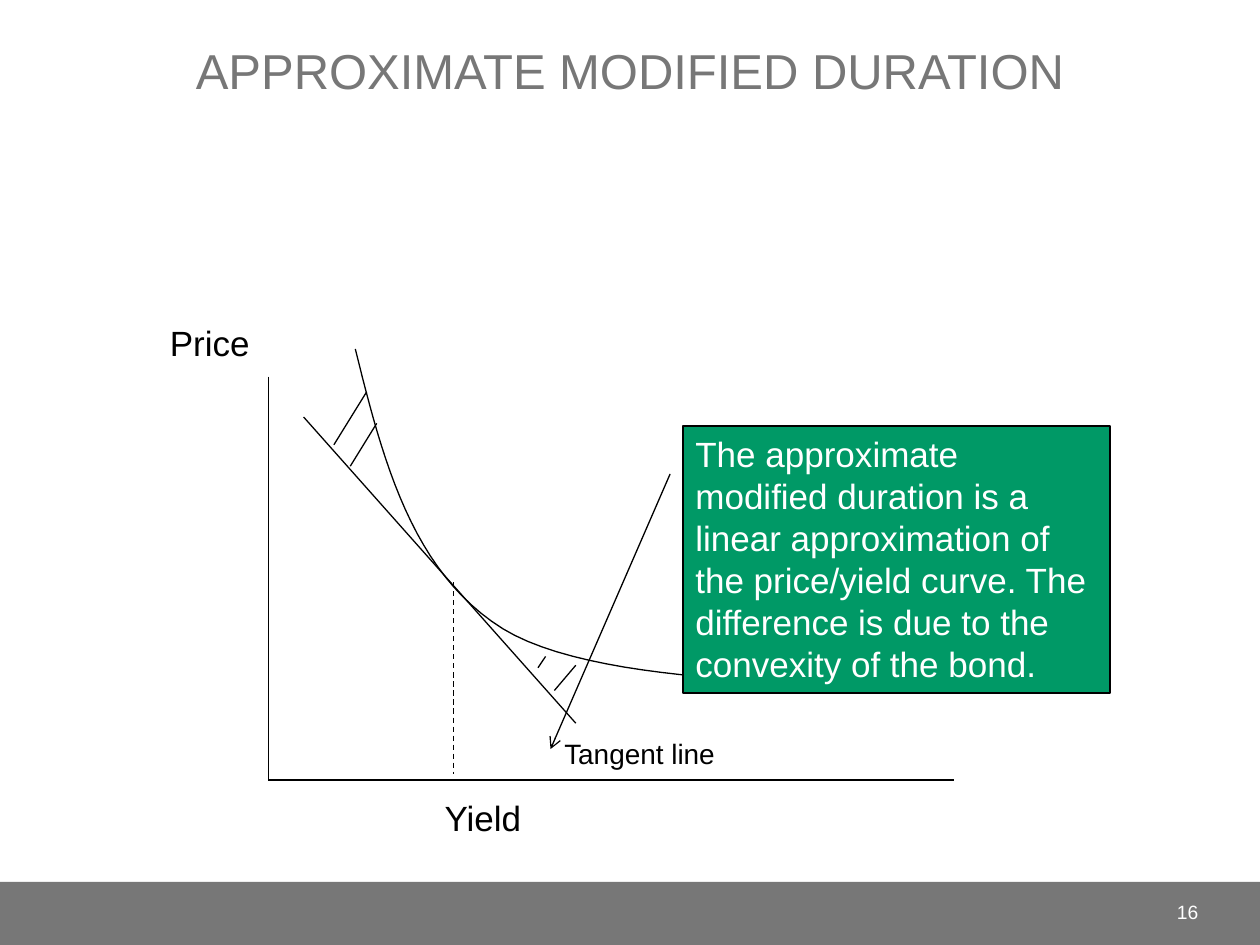
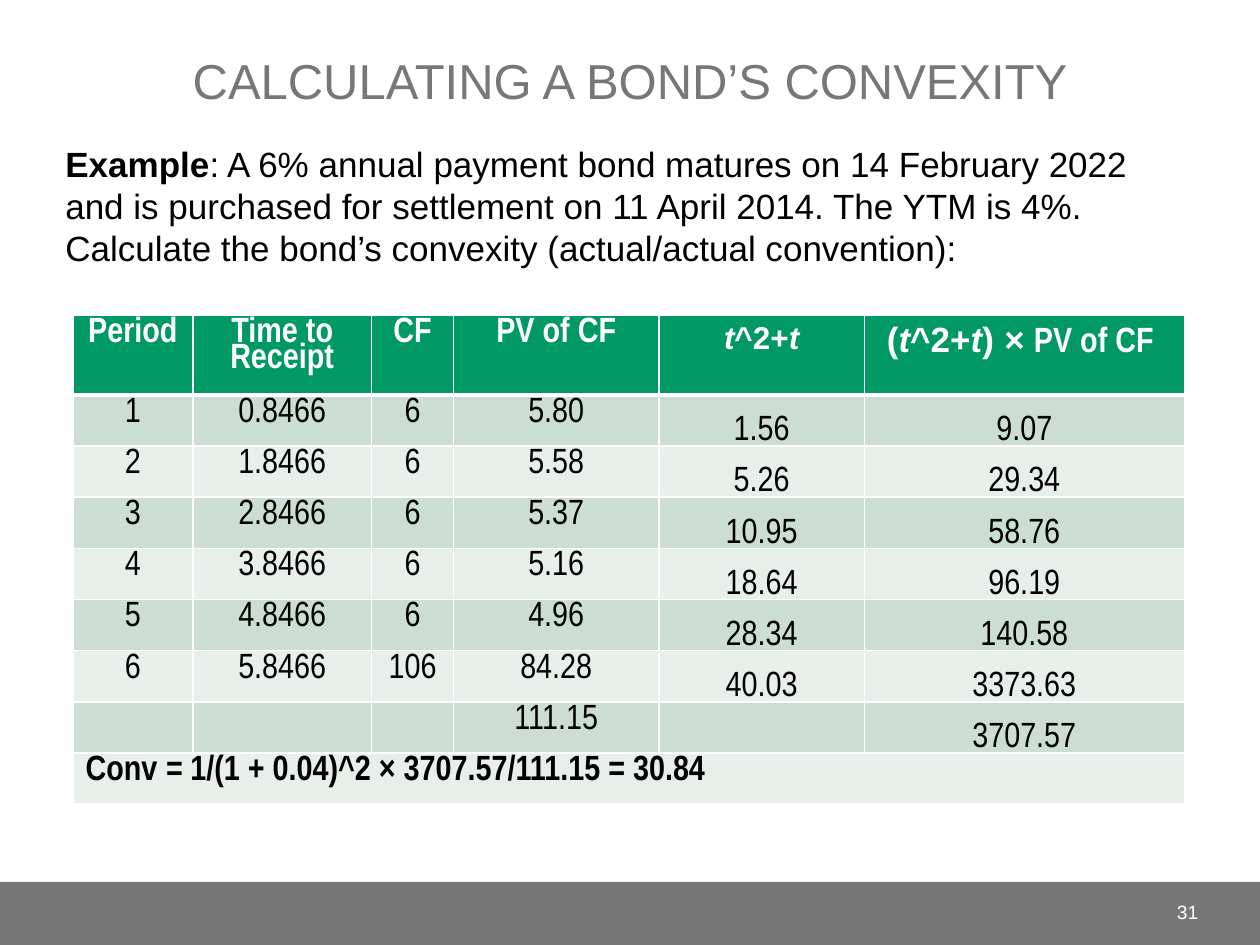
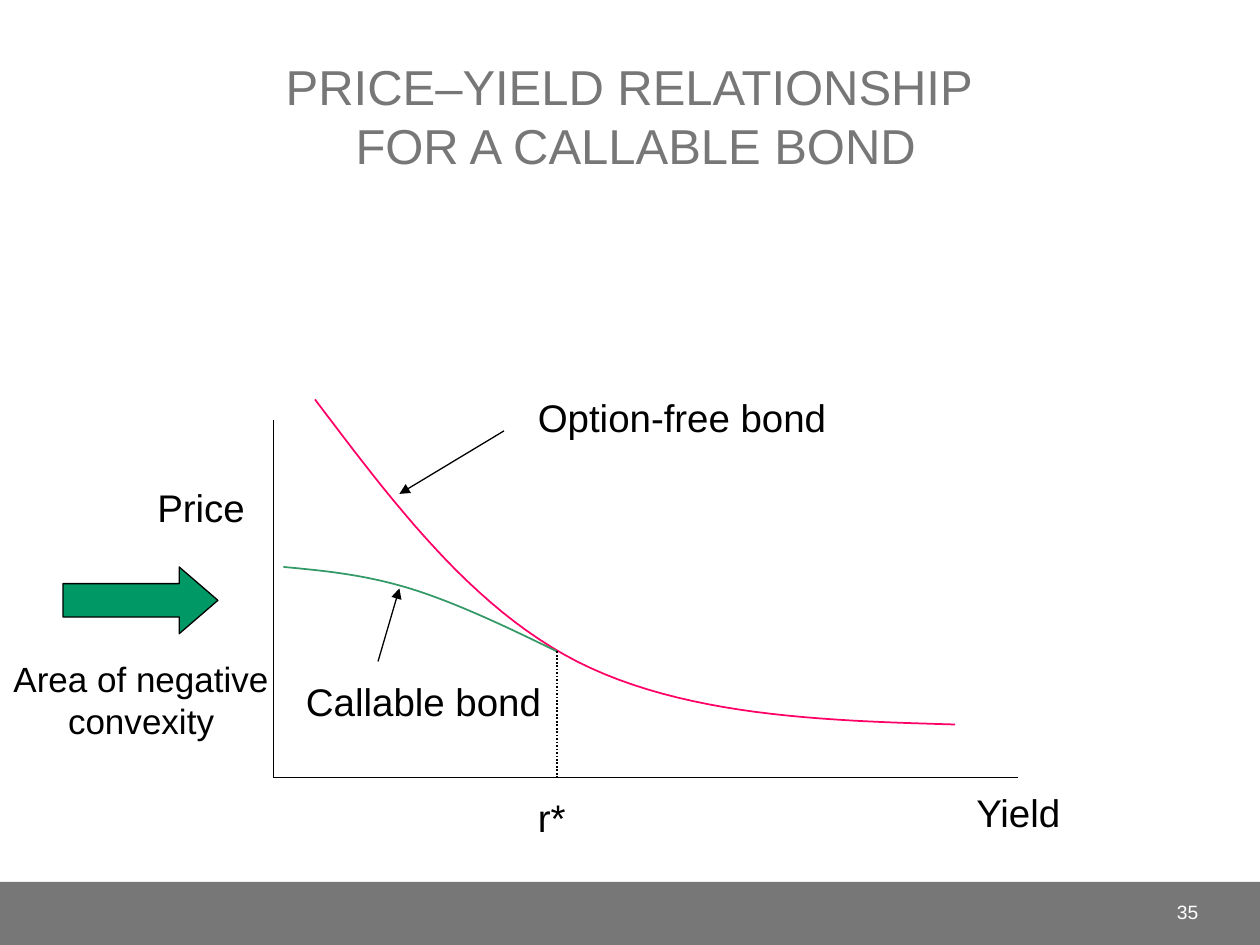
from dataclasses import dataclass

from lxml.etree import SubElement
from pptx import Presentation
from pptx.dml.color import RGBColor
from pptx.enum.dml import MSO_LINE
from pptx.enum.shapes import MSO_CONNECTOR, MSO_SHAPE
from pptx.enum.text import MSO_ANCHOR, PP_ALIGN
from pptx.oxml.ns import qn
from pptx.util import Inches, Pt


@dataclass(frozen=True)
class Theme:
    gray: str = "777777"
    green: str = "009966"
    black: str = "000000"
    white: str = "FFFFFF"
    pink: str = "FF0066"
    leaf: str = "339966"
    bands: tuple = ("E7EFEA", "CCDED3")
    font: str = "Arial"
    narrow: str = "Arial Narrow"
    title: int = 28
    label: int = 22
    body: int = 20
    small: int = 16
    number: int = 11
    leading: float = 1.2
    thin: float = 0.75
    medium: float = 1


@dataclass(frozen=True)
class Span:
    """A piece of text that differs from the rest of its paragraph."""
    text: str
    bold: bool = None
    italic: bool = None
    font: str = None


THEME = Theme()


def rgb(color):
    return RGBColor.from_string(color)


def write(para, content, size, color=THEME.black, font=THEME.font,
          align=PP_ALIGN.LEFT, spacing=None, bold=None):
    """Fill a paragraph with a string or a list of Spans."""
    para.alignment = align
    para.line_spacing = spacing or Pt(size * THEME.leading)
    para.font.name = font
    para.font.size = Pt(size)
    para.font.bold = bold
    para.font.color.rgb = rgb(color)
    if isinstance(content, str):
        para.text = content
        return
    for span in content:
        run = para.add_run()
        run.text = span.text
        run.font.bold = span.bold
        run.font.italic = span.italic
        if span.font:
            run.font.name = span.font


def add_text(page, place, lines, size, anchor=MSO_ANCHOR.TOP, wrap=True, **style):
    box = page.shapes.add_textbox(*map(Inches, place))
    frame = box.text_frame
    frame.word_wrap = wrap
    frame.vertical_anchor = anchor
    for index, line in enumerate(lines):
        para = frame.paragraphs[0] if index == 0 else frame.add_paragraph()
        write(para, line, size, **style)
    return box


def add_label(page, place, *lines, size=THEME.label, align=PP_ALIGN.LEFT):
    add_text(page, place, lines, size, wrap=False, align=align)


def add_arrowhead(shape, kind):
    line = shape._element.spPr.find(qn("a:ln"))
    SubElement(line, qn("a:tailEnd"), type=kind)


def add_line(page, start, end, width=THEME.thin, dash=None, arrow=None):
    line = page.shapes.add_connector(
        MSO_CONNECTOR.STRAIGHT, *map(Inches, (*start, *end)))
    line.line.color.rgb = rgb(THEME.black)
    line.line.width = Pt(width)
    if dash:
        line.line.dash_style = dash
    if arrow:
        add_arrowhead(line, arrow)
    SubElement(line._element.spPr, qn("a:effectLst"))


def add_axes(page, top, origin, right, width):
    add_line(page, (origin[0], top), origin, width)
    add_line(page, origin, (right, origin[1]), width)


def bezier_points(points, steps=24):
    """Sample joined cubic curves: a start, then three points per curve."""
    for first in range(0, len(points) - 1, 3):
        knots = points[first:first + 4]
        for step in range(1, steps + 1):
            t = step / steps
            weights = ((1 - t) ** 3, 3 * t * (1 - t) ** 2, 3 * t * t * (1 - t), t ** 3)
            yield tuple(Inches(sum(w * knot[axis] for w, knot in zip(weights, knots)))
                        for axis in (0, 1))


def add_curve(page, points, color, width):
    builder = page.shapes.build_freeform(*map(Inches, points[0]))
    builder.add_line_segments(list(bezier_points(points)), close=False)
    curve = builder.convert_to_shape()
    curve.shadow.inherit = False
    curve.fill.background()
    curve.line.color.rgb = rgb(color)
    curve.line.width = Pt(width)


def add_block(page, kind, place, fill, outline=None, adjustments=()):
    block = page.shapes.add_shape(kind, *map(Inches, place))
    block.shadow.inherit = False
    block.fill.solid()
    block.fill.fore_color.rgb = rgb(fill)
    if outline:
        block.line.color.rgb = rgb(outline)
        block.line.width = Pt(THEME.thin)
    else:
        block.line.fill.background()
    for index, value in enumerate(adjustments):
        block.adjustments[index] = value
    return block


def add_page(deck, title, title_place, number):
    """Start a slide with the shared footer band, title and number."""
    page = deck.slides.add_slide(deck.slide_layouts[6])
    add_block(page, MSO_SHAPE.RECTANGLE, (0, 7, 10, 0.5), THEME.gray)
    add_text(page, title_place, [title], THEME.title, MSO_ANCHOR.BOTTOM,
             color=THEME.gray, align=PP_ALIGN.CENTER)
    add_text(page, (8.75, 7.04, 0.86, 0.4), [str(number)], THEME.number,
             MSO_ANCHOR.MIDDLE, color=THEME.white, align=PP_ALIGN.RIGHT)
    return page


def style_cell(cell, fill, top=1, bottom=1):
    """Give a cell white borders (widths in points) and a fill."""
    properties = cell._tc.get_or_add_tcPr()
    for side, width in (("L", 1), ("R", 1), ("T", top), ("B", bottom)):
        border = SubElement(properties, qn(f"a:ln{side}"), w=str(Pt(width)))
        solid = SubElement(border, qn("a:solidFill"))
        SubElement(solid, qn("a:srgbClr"), val=THEME.white)
    cell.fill.solid()
    cell.fill.fore_color.rgb = rgb(fill)


def sink_text(cell):
    cell.vertical_anchor = MSO_ANCHOR.BOTTOM
    cell.margin_left = cell.margin_right = cell.margin_top = Inches(0.01)
    cell.margin_bottom = 0


def add_convexity_table(page, header, rows, result):
    widths = (0.95, 1.42, 0.65, 1.63, 1.63, 2.54)
    height, header_height, tight, heavy = 3.86, 0.61, 0.8, 3
    frame = page.shapes.add_table(len(rows) + 2, len(widths), Inches(0.58), Inches(2.5),
                                  Inches(sum(widths)), Inches(height))
    table = frame.table
    table.horz_banding = False
    for column, width in zip(table.columns, widths):
        column.width = Inches(width)
    for row in table.rows:
        row.height = Inches((height - header_height) / (len(rows) + 1))
    table.rows[0].height = Inches(header_height)

    for column, content in enumerate(header):
        cell = table.cell(0, column)
        style_cell(cell, THEME.green, bottom=heavy)
        formula = not isinstance(content, str)
        write(cell.text_frame.paragraphs[0], content, 18 if column == 4 else THEME.body,
              THEME.white, THEME.font if formula else THEME.narrow,
              PP_ALIGN.CENTER, 1.0 if formula else tight, bold=True)

    for number, values in enumerate(rows, 1):
        for column, value in enumerate(values):
            cell = table.cell(number, column)
            style_cell(cell, THEME.bands[number % 2], top=heavy if number == 1 else 1)
            if not value:
                continue
            if column >= 4:
                sink_text(cell)
            write(cell.text_frame.paragraphs[0], value, THEME.body, font=THEME.narrow,
                  align=PP_ALIGN.CENTER, spacing=tight, bold=False)

    last = len(rows) + 1
    for column in range(len(widths)):
        style_cell(table.cell(last, column), THEME.bands[last % 2])
    table.cell(last, 0).merge(table.cell(last, len(widths) - 1))
    write(table.cell(last, 0).text_frame.paragraphs[0], result, THEME.body,
          font=THEME.narrow, spacing=tight, bold=True)


def build_duration(deck):
    page = add_page(deck, "APPROXIMATE MODIFIED DURATION", (0.42, 0.17, 9.16, 0.67), 16)
    add_label(page, (1.25, 2.5, 0.84, 0.44), "Price", size=THEME.body)
    add_axes(page, 2.99, (2.13, 6.19), 7.57, THEME.thin)
    add_line(page, (2.41, 3.31), (4.57, 5.74))
    add_curve(page, [(2.82, 2.77), (3.04, 3.66), (3.27, 4.54), (3.99, 4.99),
                     (4.71, 5.43), (6.36, 5.4), (7.14, 5.47)], THEME.black, THEME.thin)
    add_text(page, (4.38, 5.8, 1.71, 0.37), ["Tangent line"], THEME.small)
    add_line(page, (3.6, 4.62), (3.6, 6.14), dash=MSO_LINE.DASH)
    add_text(page, (3.43, 6.27, 0.97, 0.44), ["Yield"], THEME.body)

    callout = add_block(page, MSO_SHAPE.LINE_CALLOUT_1, (5.42, 3.38, 3.39, 2.12),
                        THEME.green, THEME.black, (0.18, -0.03, 1.21, -0.31))
    add_arrowhead(callout, "arrow")
    callout.text_frame.word_wrap = True
    callout.text_frame.vertical_anchor = MSO_ANCHOR.TOP
    write(callout.text_frame.paragraphs[0],
          "The approximate modified duration is a linear approximation of the "
          "price/yield curve. The difference is due to the convexity of the bond.",
          THEME.body, THEME.white)

    gap_hatches = [((2.91, 3.11), (2.65, 3.53)), ((2.99, 3.36), (2.78, 3.7)),
                   ((4.57, 5.28), (4.4, 5.48)), ((4.33, 5.21), (4.27, 5.3))]
    for start, end in gap_hatches:
        add_line(page, start, end)


def build_convexity(deck):
    page = add_page(deck, "CALCULATING A BOND’S CONVEXITY", (0.42, 0.17, 9.16, 0.75), 31)
    example = [Span("Example", bold=True),
               Span(": A 6% annual payment bond matures on 14 February 2022 and is "
                    "purchased for settlement on 11 April 2014. The YTM is 4%. "
                    "Calculate the bond’s convexity (actual/actual convention):")]
    add_text(page, (0.42, 1.08, 9.16, 1.3), [example], THEME.body)

    square = [Span("t", italic=True), Span("^2+"), Span("t", italic=True)]
    product = [Span("("), *square, Span(")"), Span(" × ", italic=True),
               Span("PV of CF ", font=THEME.narrow)]
    header = ["Period", "Time to Receipt", "CF", "PV of CF", square, product]
    rows = [
        ("1", "0.8466", "6", "5.80", "1.56", "9.07"),
        ("2", "1.8466", "6", "5.58", "5.26", "29.34"),
        ("3", "2.8466", "6", "5.37", "10.95", "58.76"),
        ("4", "3.8466", "6", "5.16", "18.64", "96.19"),
        ("5", "4.8466", "6", "4.96", "28.34", "140.58"),
        ("6", "5.8466", "106", "84.28", "40.03", "3373.63"),
        ("", "", "", "111.15", "", "3707.57"),
    ]
    result = [Span("Conv"), Span(" = ", italic=True),
              Span("1/(1 + 0.04)^2 × 3707.57/111.15 = 30.84")]
    add_convexity_table(page, header, rows, result)


def build_callable(deck):
    page = add_page(deck, "PRICE–YIELD RELATIONSHIP \vFOR A CALLABLE BOND",
                    (0.36, 0.33, 9.37, 1.1), 35)
    add_axes(page, 3.33, (2.17, 6.17), 8.08, THEME.medium)
    add_curve(page, [(7.58, 5.75), (6.51, 5.72), (5.43, 5.68), (4.58, 5.25),
                     (3.74, 4.82), (3.12, 3.99), (2.5, 3.17)], THEME.pink, THEME.medium)
    add_curve(page, [(4.42, 5.17), (4.01, 4.97), (3.61, 4.78), (3.25, 4.67),
                     (2.89, 4.56), (2.57, 4.53), (2.25, 4.5)], THEME.leaf, THEME.medium)
    add_line(page, (4, 3.42), (3.17, 3.92), arrow="triangle")
    add_line(page, (3, 5.25), (3.17, 4.67), arrow="triangle")
    add_label(page, (4.17, 3.08, 2.52, 0.47), "Option-free bond")
    add_label(page, (2.33, 5.33, 2.09, 0.47), "Callable bond")
    add_label(page, (1.15, 3.79, 0.9, 0.47), "Price")
    add_block(page, MSO_SHAPE.RIGHT_ARROW, (0.5, 4.5, 1.23, 0.53),
              THEME.green, THEME.black, (0.5, 0.58))
    add_label(page, (0, 5.17, 2.24, 0.77), "Area of negative", "convexity",
              size=THEME.body, align=PP_ALIGN.CENTER)
    add_label(page, (7.65, 6.21, 0.87, 0.47), "Yield")
    add_text(page, (4.17, 6.25, 0.75, 0.47), ["r*"], THEME.label)
    add_line(page, (4.42, 5.17), (4.42, 6.17), THEME.medium, MSO_LINE.ROUND_DOT)


def main():
    deck = Presentation()
    deck.slide_width, deck.slide_height = Inches(10), Inches(7.5)
    build_duration(deck)
    build_convexity(deck)
    build_callable(deck)
    deck.save("out.pptx")


if __name__ == "__main__":
    main()
